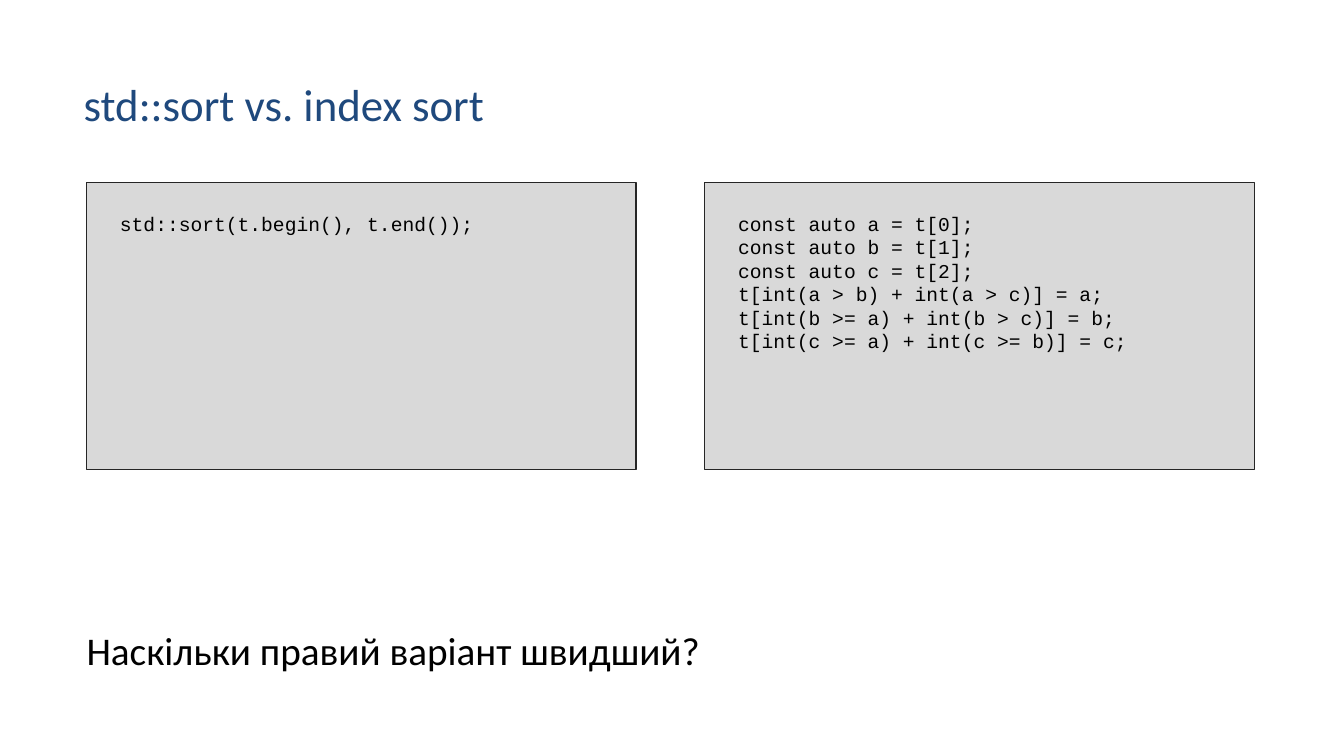
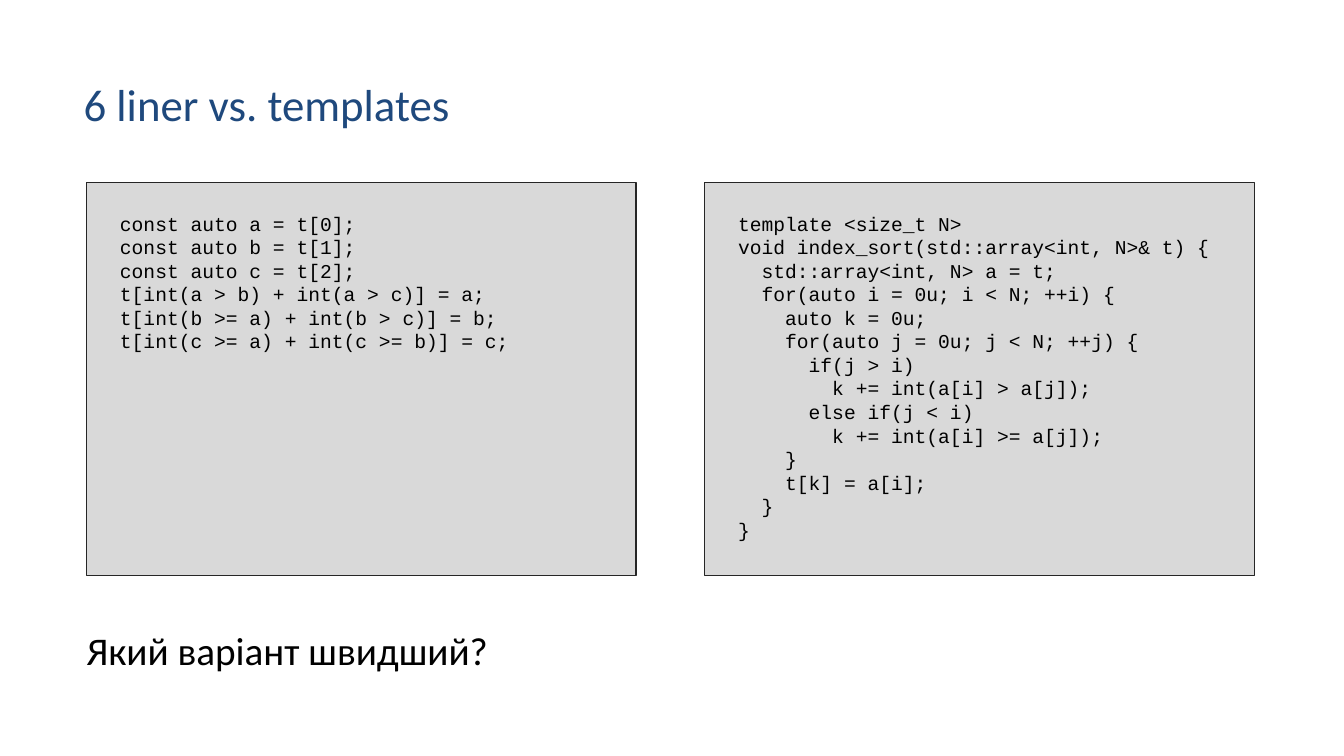
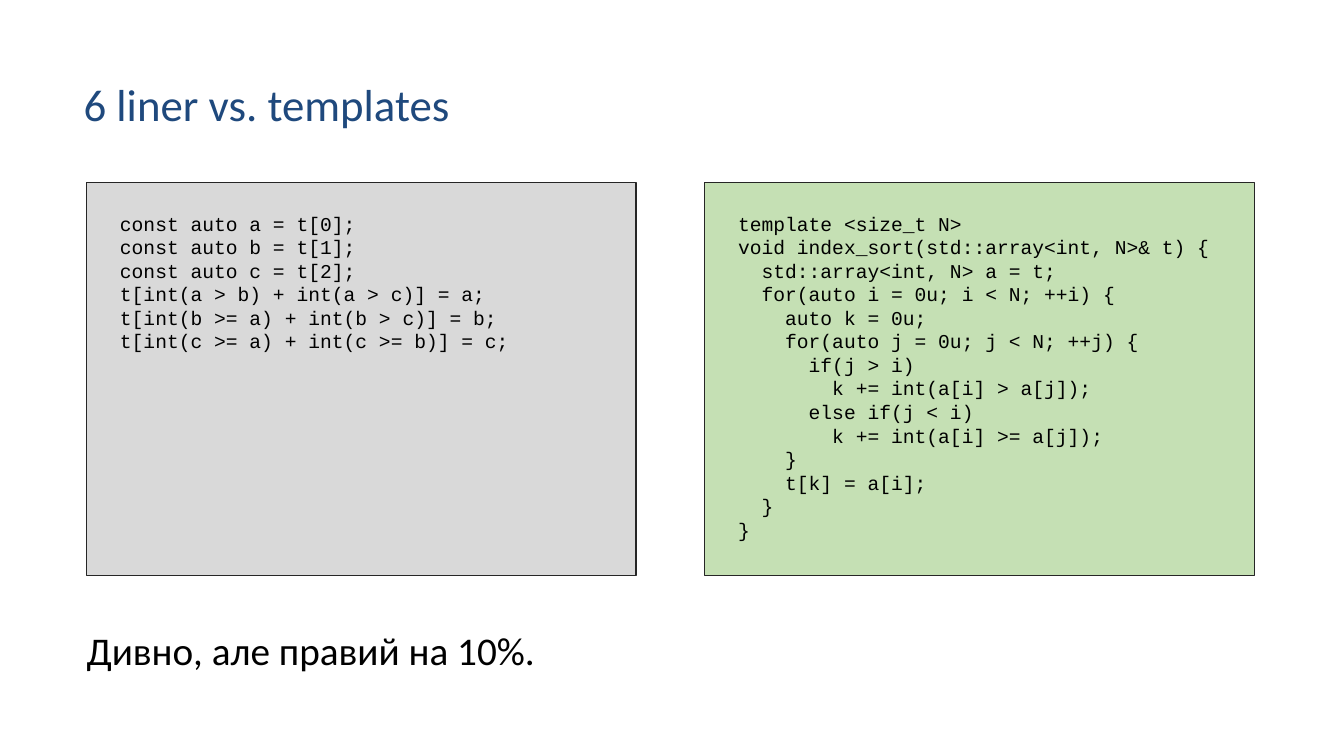
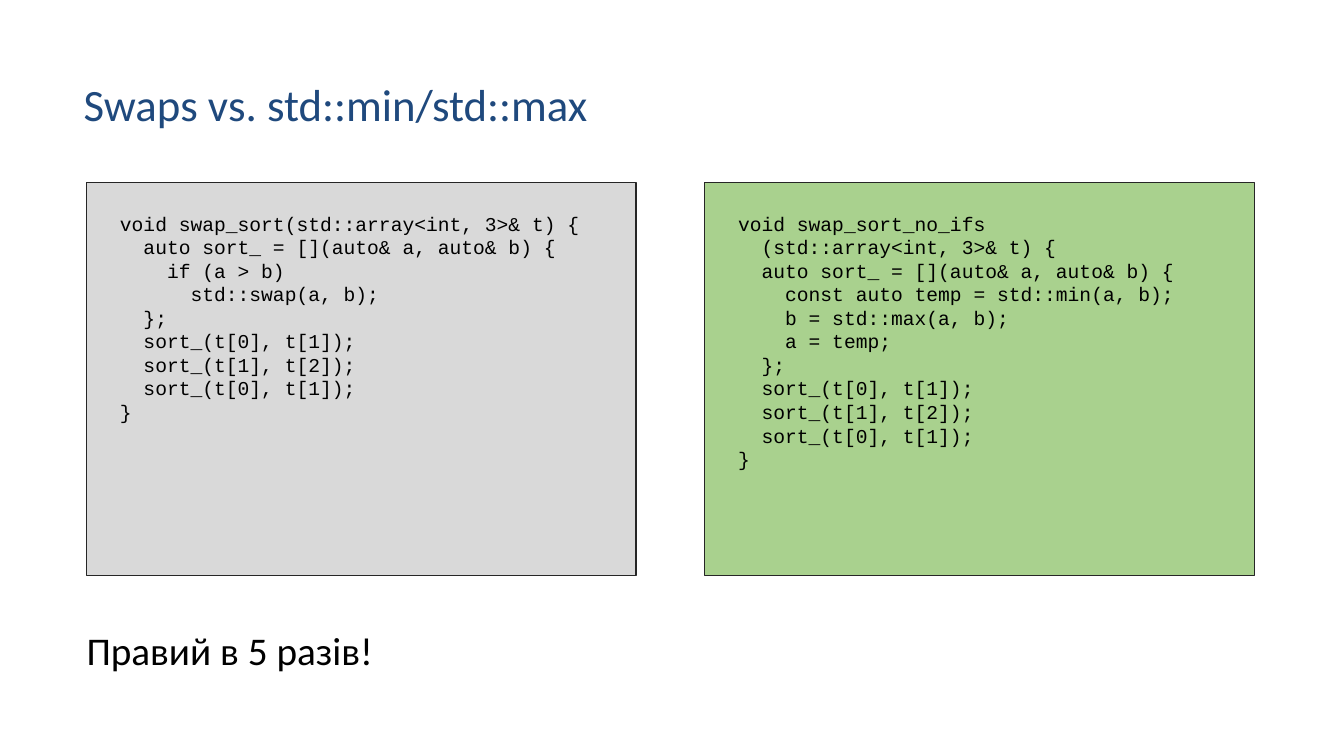
import pptx
import pptx.dml.color
import pptx.enum.shapes
import pptx.enum.text
import pptx.util

Inches = pptx.util.Inches

COLOURS = {
    "title": "1F497D",
    "text": "000000",
    "border": "262626",
    "neutral": "D9D9D9",
    "faster": "C5E0B4",
    "much_faster": "A9D18E",
}

TITLE_FORMAT = {"name": "Calibri", "size": pptx.util.Pt(32)}
CODE_FORMAT = {"name": "Courier New", "size": pptx.util.Pt(14)}
REMARK_FORMAT = {"name": "Calibri", "size": pptx.util.Pt(28)}

TITLE_BOX = (0.73, 0.71, 11.7, 0.64)
REMARK_BOX = (0.76, 6.16, 9.79, 0.57)
PANELS_LEFT, PANELS_TOP = 0.86, 1.81
PANEL_WIDTH, PANEL_GAP = 5.45, 0.68
SHORT_PANEL, TALL_PANEL = 2.85, 3.9

SIX_LINER = """\
const auto a = t[0];
const auto b = t[1];
const auto c = t[2];
t[int(a > b) + int(a > c)] = a;
t[int(b >= a) + int(b > c)] = b;
t[int(c >= a) + int(c >= b)] = c;"""

INDEX_SORT = """\
template <size_t N>
void index_sort(std::array<int, N>& t) {
  std::array<int, N> a = t;
  for(auto i = 0u; i < N; ++i) {
    auto k = 0u;
    for(auto j = 0u; j < N; ++j) {
      if(j > i)
        k += int(a[i] > a[j]);
      else if(j < i)
        k += int(a[i] >= a[j]);
    }
    t[k] = a[i];
  }
}"""

SWAP_SORT = """\
void swap_sort(std::array<int, 3>& t) {
  auto sort_ = [](auto& a, auto& b) {
    if (a > b)
      std::swap(a, b);
  };
  sort_(t[0], t[1]);
  sort_(t[1], t[2]);
  sort_(t[0], t[1]);
}"""

SWAP_SORT_NO_IFS = """\
void swap_sort_no_ifs
  (std::array<int, 3>& t) {
  auto sort_ = [](auto& a, auto& b) {
    const auto temp = std::min(a, b);
    b = std::max(a, b);
    a = temp;
  };
  sort_(t[0], t[1]);
  sort_(t[1], t[2]);
  sort_(t[0], t[1]);
}"""

# title, left code, right code, right fill, panel height, remark
COMPARISONS = [
    ("std::sort vs. index sort", "std::sort(t.begin(), t.end());", SIX_LINER,
     "neutral", SHORT_PANEL, "Наскільки правий варіант швидший?"),
    ("6 liner vs. templates", SIX_LINER, INDEX_SORT,
     "neutral", TALL_PANEL, "Який варіант швидший?"),
    ("6 liner vs. templates", SIX_LINER, INDEX_SORT,
     "faster", TALL_PANEL, "Дивно, але правий на 10%."),
    ("Swaps vs. std::min/std::max", SWAP_SORT, SWAP_SORT_NO_IFS,
     "much_faster", TALL_PANEL, "Правий в 5 разів!"),
]


def colour(name):
    return pptx.dml.color.RGBColor.from_string(COLOURS[name])


def write_text(shape, text, font_format, colour_name="text"):
    """Fill a shape with left-aligned paragraphs, one for each line."""
    frame = shape.text_frame
    frame.text = text
    frame.word_wrap = True
    frame.auto_size = pptx.enum.text.MSO_AUTO_SIZE.NONE
    frame.vertical_anchor = pptx.enum.text.MSO_ANCHOR.TOP
    for paragraph in frame.paragraphs:
        paragraph.alignment = pptx.enum.text.PP_ALIGN.LEFT
        for run in paragraph.runs:
            run.font.color.rgb = colour(colour_name)
            for attribute, value in font_format.items():
                setattr(run.font, attribute, value)


def add_title(slide, text, box):
    title = slide.shapes.title
    for attribute, value in zip(("left", "top", "width", "height"), box):
        setattr(title, attribute, Inches(value))
    write_text(title, text, TITLE_FORMAT, "title")


def add_code_panel(slide, code, box, fill):
    panel = slide.shapes.add_shape(
        pptx.enum.shapes.MSO_SHAPE.RECTANGLE, *map(Inches, box))
    panel.shadow.inherit = False
    panel.fill.solid()
    panel.fill.fore_color.rgb = colour(fill)
    panel.line.color.rgb = colour("border")
    panel.line.width = pptx.util.Pt(1)
    panel.text_frame.margin_left = Inches(0.33)
    panel.text_frame.margin_top = Inches(0.29)
    write_text(panel, code, CODE_FORMAT)


def add_remark(slide, text, box):
    remark = slide.shapes.add_textbox(*map(Inches, box))
    write_text(remark, text, REMARK_FORMAT)


def add_comparison_slide(presentation, title, left_code, right_code,
                         right_fill, panel_height, remark):
    title_only = presentation.slide_layouts.get_by_name("Title Only")
    slide = presentation.slides.add_slide(title_only)
    add_title(slide, title, TITLE_BOX)
    panels = [(left_code, "neutral"), (right_code, right_fill)]
    for column, (code, fill) in enumerate(panels):
        left = PANELS_LEFT + column * (PANEL_WIDTH + PANEL_GAP)
        box = (left, PANELS_TOP, PANEL_WIDTH, panel_height)
        add_code_panel(slide, code, box, fill)
    add_remark(slide, remark, REMARK_BOX)


def main():
    presentation = pptx.Presentation()
    presentation.slide_width = Inches(13.33)
    presentation.slide_height = Inches(7.5)
    for comparison in COMPARISONS:
        add_comparison_slide(presentation, *comparison)
    presentation.save("out.pptx")


if __name__ == "__main__":
    main()
